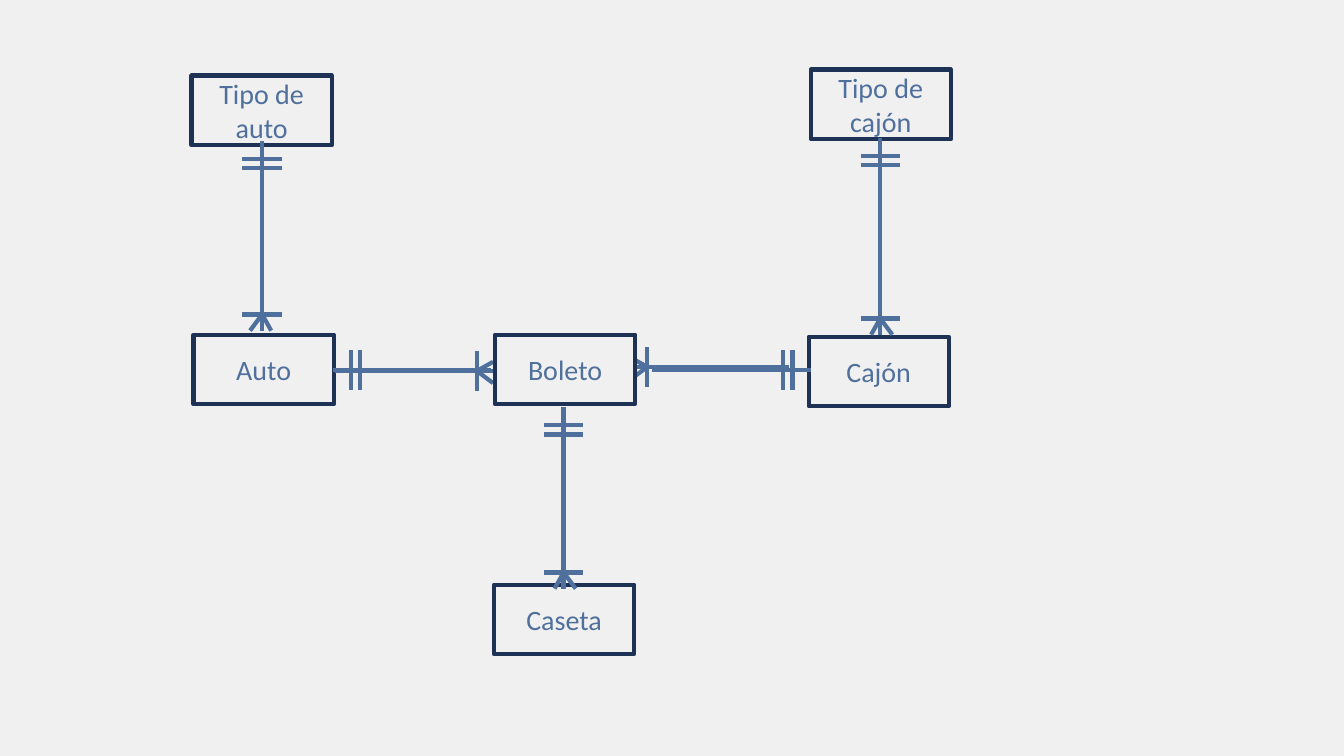
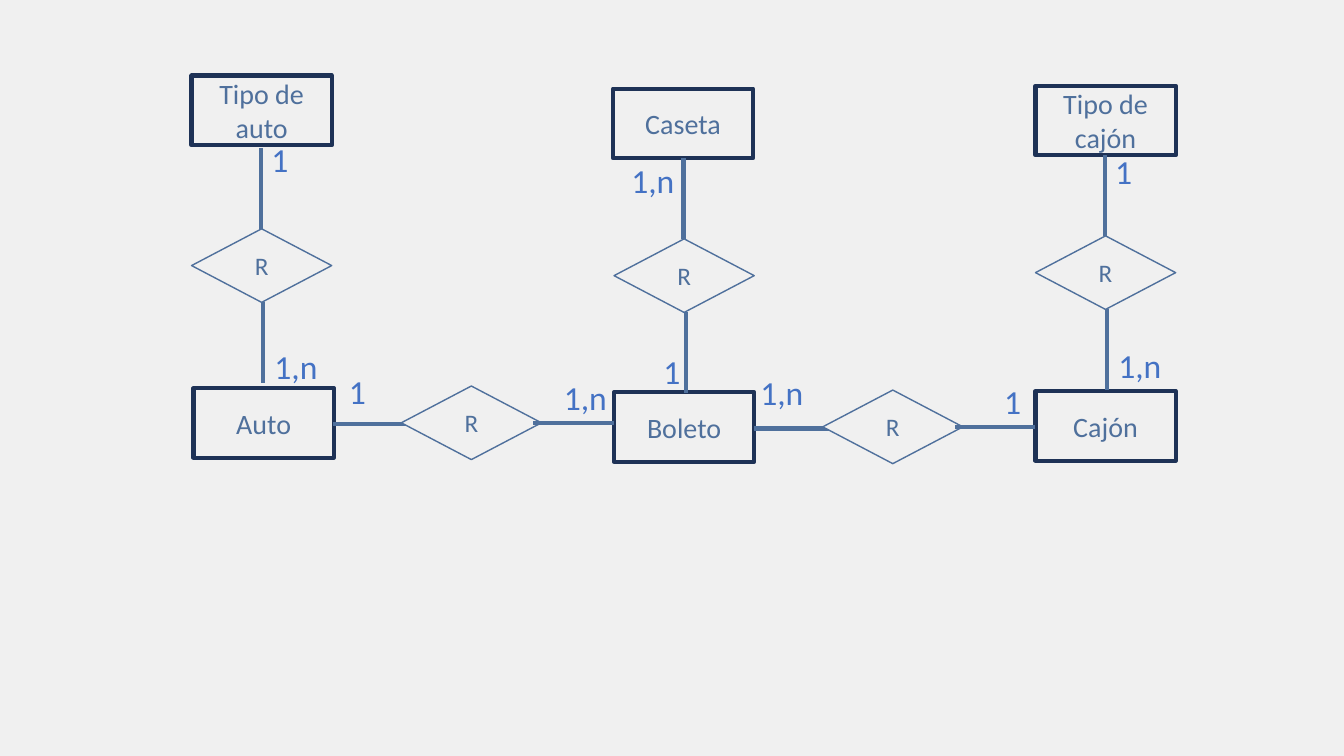
from dataclasses import dataclass
from lxml.etree import SubElement
from pptx import Presentation
from pptx.dml.color import RGBColor
from pptx.enum.shapes import MSO_CONNECTOR, MSO_SHAPE
from pptx.enum.text import MSO_ANCHOR, MSO_AUTO_SIZE, PP_ALIGN
from pptx.oxml.ns import qn
from pptx.util import Inches, Pt


@dataclass(frozen=True)
class Theme:
    paper: RGBColor = RGBColor.from_string("F0F0F0")
    edge: RGBColor = RGBColor.from_string("1E3256")
    ink: RGBColor = RGBColor.from_string("4F709C")
    note: RGBColor = RGBColor.from_string("4472C4")
    font: str = "Calibri"
    name: Pt = Pt(20)
    bond: Pt = Pt(18)
    count: Pt = Pt(24)
    thick: Pt = Pt(3)
    thin: Pt = Pt(1)


theme = Theme()
deck = Presentation()
deck.slide_width, deck.slide_height = Inches(13.33), Inches(7.5)
cell = deck.slide_height / 75
back = deck.slide_master.background.fill
back.solid()
back.fore_color.rgb = theme.paper

BOX, GEM = MSO_SHAPE.RECTANGLE, MSO_SHAPE.FLOWCHART_DECISION
looks = {
    BOX: (13.9, 6.9, theme.edge, theme.thick, theme.name),
    GEM: (13.9, 7.3, theme.ink, theme.thin, theme.bond),
}


def node(host, kind, words, left, top):
    wide, high, edge, weight, size = looks[kind]
    shape = host.shapes.add_shape(
        kind, *[round(n * cell) for n in (left, top, wide, high)])
    shape.shadow.inherit = False
    shape.fill.solid()
    shape.fill.fore_color.rgb = theme.paper
    shape.line.color.rgb = edge
    shape.line.width = weight
    frame = shape.text_frame
    frame.text = words
    frame.vertical_anchor = MSO_ANCHOR.MIDDLE
    para = frame.paragraphs[0]
    para.alignment = PP_ALIGN.CENTER
    para.font.name, para.font.size = theme.font, size
    para.font.color.rgb = theme.ink


def stroke(host, *ends):
    line = host.shapes.add_connector(
        MSO_CONNECTOR.STRAIGHT, *[round(n * cell) for n in ends])
    line.line.color.rgb = theme.ink
    line.line.width = theme.thick
    SubElement(line.element.spPr, qn("a:effectLst"))


page = deck.slides.add_slide(deck.slide_layouts[6])
for words, left, top in (
    ("Auto", 19.2, 33.2),
    ("Cajón", 80.2, 33.4),
    ("Tipo de auto", 19, 7.5),
    ("Tipo de cajón", 80.4, 6.9),
    ("Caseta", 49, 58),
):
    node(page, BOX, words, left, top)

stem = (0, 0, 15.7, 0)
one = (stem, (1.8, -1.95, 1.8, 1.95), (2.7, -1.95, 2.7, 1.95))
many = (stem, (0, 1.2, 1.6, 0), (0, -0.9, 1.6, 0), (1.6, -1.95, 1.6, 1.95))
for mark, left, top, run, rise, flip in (
    (one, 55.9, 40.4, 0, 1, 1),
    (many, 26, 32.8, 0, -1, -1),
    (many, 62.6, 36.4, 1, 0, 1),
    (many, 87.3, 33.2, 0, -1, 1),
    (many, 55.9, 58.4, 0, -1, 1),
    (one, 33, 36.7, 1, 0, 1),
    (many, 48.9, 36.8, -1, 0, 1),
    (one, 80.4, 36.7, -1, 0, 1),
    (one, 26, 14, 0, 1, 1),
    (one, 87.3, 13.7, 0, 1, 1),
):
    group = page.shapes.add_group_shape()
    side, down = abs(rise) * flip, abs(run) * flip
    for a, b, c, d in mark:
        stroke(group,
               left + a * run + b * side, top + a * rise + b * down,
               left + c * run + d * side, top + c * rise + d * down)
node(page, BOX, "Boleto", 49.1, 33.2)

page = deck.slides.add_slide(deck.slide_layouts[6])
for words, left, top in (
    ("Auto", 19.2, 38.5),
    ("Cajón", 102.7, 38.8),
    ("Tipo de auto", 19, 7.5),
    ("Tipo de cajón", 102.7, 8.5),
    ("Boleto", 60.9, 38.9),
    ("Caseta", 60.8, 8.8),
):
    node(page, BOX, words, left, top)

flat = (8, 0, 6.8, -3.8, 19.9, -0.15)
tall = (0, 8, -6.9, 8, 0.2, 15.3)
for plan, left, top in (
    (flat, 33, 42.1),
    (tall, 25.9, 14.7),
    (flat, 74.8, 42.5),
    (tall, 109.6, 15.4),
    (tall, 67.8, 15.7),
):
    run, rise, gem, lift, side, down = plan
    group = page.shapes.add_group_shape()
    stroke(group, left, top, left + run, top + rise)
    node(group, GEM, "R", left + gem, top + lift)
    stroke(group, left + side, top + down,
           left + side + run, top + down + rise)

widths = {"1": 3.7, "1,n": 6.3}
for words, left, top in (
    ("1", 25.9, 13.3),
    ("1", 109.6, 14.5),
    ("1,n", 26.2, 33.8),
    ("1,n", 109.9, 33.7),
    ("1,n", 54.9, 36.9),
    ("1,n", 74.4, 36.4),
    ("1", 33.6, 36.3),
    ("1", 98.6, 37.3),
    ("1", 64.8, 34.3),
    ("1,n", 61.6, 15.4),
):
    label = page.shapes.add_textbox(
        *[round(n * cell) for n in (left, top, widths[words], 5)])
    frame = label.text_frame
    frame.text = words
    frame.word_wrap = False
    frame.auto_size = MSO_AUTO_SIZE.SHAPE_TO_FIT_TEXT
    para = frame.paragraphs[0]
    para.alignment = PP_ALIGN.CENTER
    para.font.name, para.font.size = theme.font, theme.count
    para.font.color.rgb = theme.note

deck.save("out.pptx")
